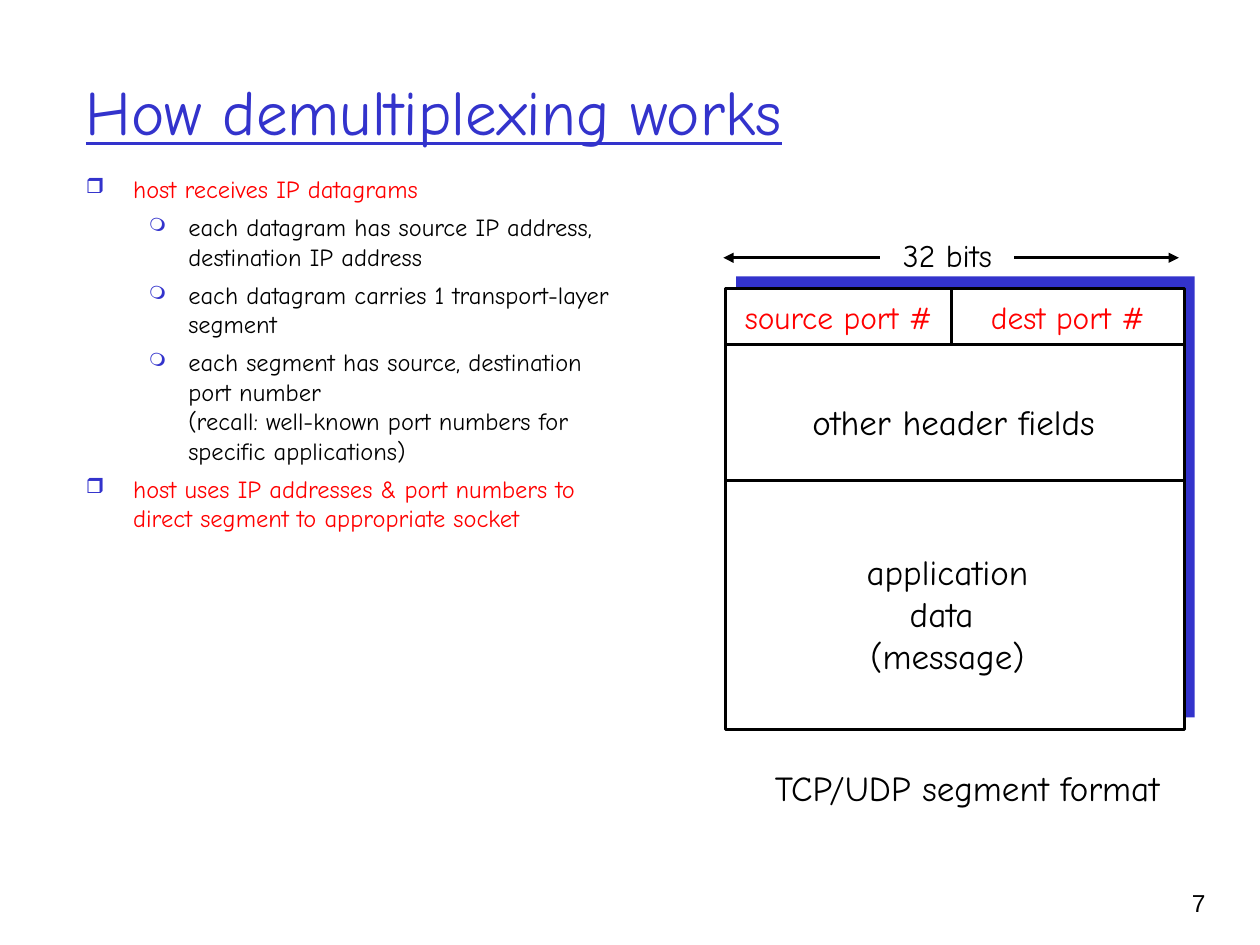
from collections import namedtuple
from dataclasses import dataclass

from lxml import etree
from pptx import Presentation
from pptx.dml.color import RGBColor
from pptx.enum.shapes import MSO_CONNECTOR, MSO_SHAPE
from pptx.enum.text import MSO_ANCHOR, MSO_AUTO_SIZE, PP_ALIGN
from pptx.oxml.ns import qn
from pptx.util import Pt

LEFT, CENTER, RIGHT = PP_ALIGN.LEFT, PP_ALIGN.CENTER, PP_ALIGN.RIGHT
TOP, MIDDLE = MSO_ANCHOR.TOP, MSO_ANCHOR.MIDDLE
GROW = MSO_AUTO_SIZE.SHAPE_TO_FIT_TEXT
RECTANGLE = MSO_SHAPE.RECTANGLE
STRAIGHT = MSO_CONNECTOR.STRAIGHT

Box = namedtuple("Box", "left top width height")
Bullet = namedtuple("Bullet", "character percent margin indent color")


@dataclass(frozen=True)
class Theme:
    accent: str = "3333CC"
    highlight: str = "FF0000"
    ink: str = "000000"
    paper: str = "FFFFFF"
    font: str = "Comic Neue"
    number_font: str = "Arial"
    title: int = 36
    label: int = 20
    field: int = 18
    body: int = 14
    line: float = 1.5


THEME = Theme()
BULLETS = [
    Bullet("❒", 85, 27, -27, THEME.highlight),
    Bullet("❍", 75, 58.5, -22.5, THEME.ink),
]
POINTS = [
    (0, ["host receives IP datagrams"]),
    (1, ["each datagram has source IP address, destination IP address"]),
    (1, ["each datagram carries 1 transport-layer segment"]),
    (1, ["each segment has source, destination port number ",
         "(recall: well-known port numbers for specific applications)"]),
    (0, ["host uses IP addresses & port numbers to direct segment to appropriate socket"]),
]


def color(value):
    return RGBColor.from_string(value)


def add_run(paragraph, text, size, ink, font=THEME.font):
    run = paragraph.add_run()
    run.text = text
    run.font.name = font
    run.font.size = Pt(size)
    run.font.color.rgb = color(ink)
    return run


def add_frame(slide, box, anchor=TOP):
    shape = slide.shapes.add_textbox(*map(Pt, box))
    frame = shape.text_frame
    frame.word_wrap = True
    frame.vertical_anchor = anchor
    return frame


def next_paragraph(frame, index):
    return frame.add_paragraph() if index else frame.paragraphs[0]


def add_label(slide, center_x, center_y, width, height, lines, size, ink=THEME.ink):
    box = Box(center_x - width / 2, center_y - height / 2, width, height)
    frame = add_frame(slide, box)
    frame.word_wrap = False
    frame.auto_size = GROW
    for index, line in enumerate(lines):
        paragraph = next_paragraph(frame, index)
        paragraph.alignment = CENTER
        add_run(paragraph, line, size, ink)


def add_rectangle(slide, box, fill):
    shape = slide.shapes.add_shape(RECTANGLE, *map(Pt, box))
    shape.shadow.inherit = False
    shape.fill.solid()
    shape.fill.fore_color.rgb = color(fill)
    shape.line.fill.background()
    return shape


def add_line(slide, start_x, start_y, end_x, end_y, arrow=False):
    points = map(Pt, (start_x, start_y, end_x, end_y))
    connector = slide.shapes.add_connector(STRAIGHT, *points)
    connector.line.color.rgb = color(THEME.ink)
    connector.line.width = Pt(THEME.line)
    properties = connector._element.spPr
    if arrow:
        outline = properties.find(qn("a:ln"))
        etree.SubElement(outline, qn("a:tailEnd"), type="triangle")
    etree.SubElement(properties, qn("a:effectLst"))


def set_bullet(paragraph, bullet):
    properties = paragraph._p.get_or_add_pPr()
    properties.set("marL", str(Pt(bullet.margin)))
    properties.set("indent", str(Pt(bullet.indent)))
    bullet_color = etree.SubElement(properties, qn("a:buClr"))
    etree.SubElement(bullet_color, qn("a:srgbClr"), val=THEME.accent)
    etree.SubElement(properties, qn("a:buSzPct"), val=str(bullet.percent * 1000))
    etree.SubElement(properties, qn("a:buChar"), char=bullet.character)


def add_title(slide, box):
    paragraph = add_frame(slide, box, MIDDLE).paragraphs[0]
    paragraph.alignment = LEFT
    run = add_run(paragraph, "How demultiplexing works", THEME.title, THEME.accent)
    run.font.underline = True


def add_points(slide, box):
    frame = add_frame(slide, box)
    for index, (level, lines) in enumerate(POINTS):
        bullet = BULLETS[level]
        paragraph = next_paragraph(frame, index)
        paragraph.level = level
        paragraph.space_before = Pt(5)
        set_bullet(paragraph, bullet)
        for position, line in enumerate(lines):
            if position:
                paragraph.add_line_break()
            add_run(paragraph, line, THEME.body, bullet.color)


def add_segment(slide, box):
    left, top, width, height = box
    right = left + width
    ports_bottom, header_bottom = top + 31.7, top + 109.4
    divider = left + 129
    middle = left + 126.7

    add_rectangle(slide, Box(left + 6, top - 7, width, height), THEME.accent)
    outline = add_rectangle(slide, box, THEME.paper).line
    outline.color.rgb = color(THEME.ink)
    outline.width = Pt(THEME.line)

    for y in (ports_bottom, header_bottom):
        add_line(slide, left, y, right, y)
    add_line(slide, divider, ports_bottom, divider, top)

    ports_middle = top + 16.4
    add_label(slide, (left + divider) / 2, ports_middle, 124, 29,
              ["source port #"], THEME.field, THEME.highlight)
    add_label(slide, (divider + right) / 2, ports_middle, 106, 29,
              ["dest port #"], THEME.field, THEME.highlight)
    add_label(slide, left + 130.3, top + 76.3, 178, 32,
              ["other header fields"], THEME.label)
    add_label(slide, middle, top + 185.7, 109, 79,
              ["application", "data ", "(message)"], THEME.label)
    add_label(slide, left + 138, top + 285.3, 239, 32,
              ["TCP/UDP segment format"], THEME.label)

    add_label(slide, middle, top - 19.3, 70, 29, ["32 bits"], THEME.field)
    arrow_y = top - 17.7
    for start, end in ((left + 88, left - 1.4), (left + 165, right - 3)):
        add_line(slide, start, arrow_y, end, arrow_y, arrow=True)


def add_page_number(slide, box):
    paragraph = add_frame(slide, box).paragraphs[0]
    paragraph.alignment = RIGHT
    add_run(paragraph, "7", THEME.body, THEME.ink, THEME.number_font)


def main():
    presentation = Presentation()
    presentation.slide_width = Pt(720)
    presentation.slide_height = Pt(540)
    slide = presentation.slides.add_slide(presentation.slide_layouts[6])
    add_title(slide, Box(42, 18, 612, 90))
    add_points(slide, Box(42, 96, 324, 220))
    add_segment(slide, Box(414.7, 165, 262, 252))
    add_page_number(slide, Box(643, 504, 53, 36))
    presentation.save("out.pptx")


if __name__ == "__main__":
    main()
